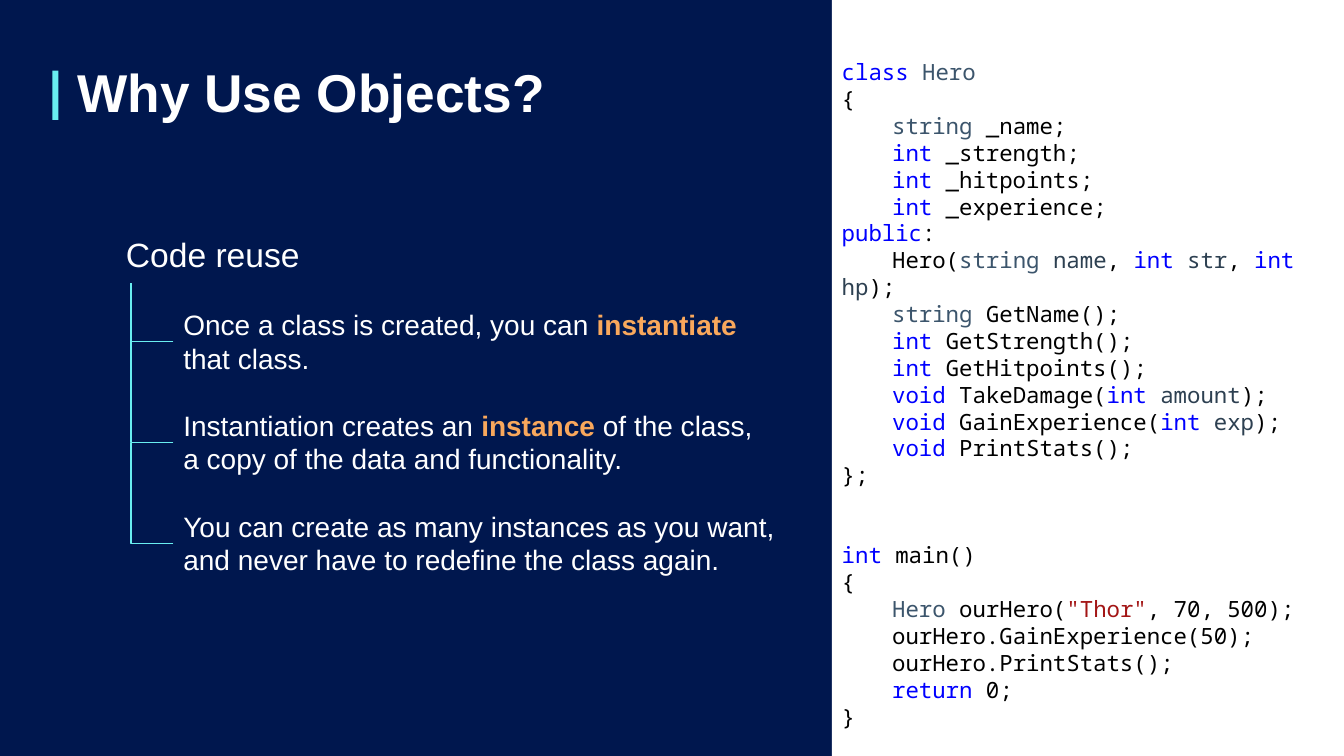
from pptx import Presentation
from pptx import util as u
from pptx.dml.color import RGBColor
from pptx.enum import shapes, text
from pptx.oxml import parse_xml
from pptx.oxml.ns import nsdecls, qn

NAVY = RGBColor(0x00, 0x17, 0x4E)
WHITE = RGBColor(0xFF, 0xFF, 0xFF)
BLACK = RGBColor(0x00, 0x00, 0x00)
CYAN = RGBColor(0x69, 0xEE, 0xF0)
ORANGE = RGBColor(0xF9, 0xA8, 0x5C)
BLUE = RGBColor(0x00, 0x00, 0xFF)
SLATE = RGBColor(0x3C, 0x55, 0x6C)
DARK = RGBColor(0x2D, 0x40, 0x51)
RED = RGBColor(0xA3, 0x15, 0x15)

TITLE = "Why Use Objects?"
HEAD = "Code reuse"
POINTS = [
    ("Once a class is created, you can |instantiate| that class.", 614, 281),
    ("Instantiation creates an |instance| of the class, "
     "a copy of the data and functionality.", 600, 314),
    ("You can create as many instances as you want, "
     "and never have to redefine the class again.", 614, 439),
]
HERO = [
    "class |Hero",
    "{",
    "\t|string| _name;",
    "\t|int| _strength;",
    "\t|int| _hitpoints;",
    "\t|int| _experience;",
    "public|:",
    "\tHero(|string |name|, |int |str|, |int |hp|);",
    "\t|string |GetName();",
    "\t|int |GetStrength();",
    "\t|int |GetHitpoints();",
    "\t|void |TakeDamage(|int |amount|);",
    "\t|void |GainExperience(|int |exp|);",
    "\t|void |PrintStats();",
    "};",
]
MAIN = [
    "int| main()",
    "{",
    "\t|Hero |ourHero(|\"Thor\"|, 70, 500);",
    "\tourHero.GainExperience(50);",
    "\tourHero.PrintStats();",
    "\t|return| 0;",
    "}",
]
GROUPS = [
    (BLUE, "class int void public return"),
    (SLATE, "Hero string"),
    (DARK, "name str hp amount exp"),
    (RED, "\"Thor\""),
]
TONES = {word: tone for tone, words in GROUPS for word in words.split()}
MARKS = {"instantiate": ORANGE, "instance": ORANGE}


def px(n):
    return u.Emu(n * 9144)


def write(para, line, size, face, base, tones):
    for part in line.split("|"):
        run = para.add_run()
        run.text = part
        font = run.font
        font.size, font.name = u.Pt(size), face
        font.color.rgb = tones.get(part.strip(), base)
        font.bold = tones is MARKS and part in MARKS


def label(line, x, y, w, h, size):
    box = slide.shapes.add_textbox(px(x), px(y), px(w), px(h))
    frame = box.text_frame
    frame.word_wrap = True
    frame.auto_size = text.MSO_AUTO_SIZE.SHAPE_TO_FIT_TEXT
    frame.vertical_anchor = text.MSO_ANCHOR.MIDDLE
    write(frame.paragraphs[0], line, size, "Arial", WHITE, MARKS)
    return frame.paragraphs[0]


def block(x, y, w, h, fill):
    rect = slide.shapes.add_shape(
        shapes.MSO_SHAPE.RECTANGLE, px(x), px(y), px(w), px(h))
    rect.shadow.inherit = False
    rect.fill.solid()
    rect.fill.fore_color.rgb = fill
    rect.line.fill.background()
    return rect


def elbow(x, top, right, low):
    link = slide.shapes.add_connector(
        shapes.MSO_CONNECTOR.ELBOW, px(x), px(top), px(right), px(low))
    link.line.color.rgb = CYAN
    link.line.width = u.Pt(1)
    props = link._element.spPr
    props.find(qn("a:xfrm")).set("rot", "10800000")
    props.find(qn("a:prstGeom")).set("prst", "bentConnector2")
    props.append(parse_xml("<a:effectLst %s/>" % nsdecls("a")))


deck = Presentation()
deck.slide_width, deck.slide_height = px(1333), px(750)
slide = deck.slides.add_slide(deck.slide_layouts[6])
slide.background.fill.solid()
slide.background.fill.fore_color.rgb = NAVY

block(52, 70, 6, 49, CYAN)
title = label(TITLE, 67, 61, 719, 68, 38)
title.line_spacing = 0.9
title.runs[0].font.bold = True
label(HEAD, 115, 227, 671, 50, 24)

for i, (line, wide, top) in enumerate(POINTS):
    y = 300 + 100 * i
    label(line, 172, y, wide, 77, 20)
    elbow(130, top, 172, y + 39)

frame = block(825, 0, 508, 750, WHITE).text_frame
frame.word_wrap = True
frame.vertical_anchor = text.MSO_ANCHOR.TOP
frame.margin_top = px(58)
for i, line in enumerate(HERO + MAIN):
    para = frame.paragraphs[0] if i == 0 else frame.add_paragraph()
    para.alignment = text.PP_ALIGN.LEFT
    if i == len(HERO):
        para.space_before = u.Pt(38)
    props = para._p.get_or_add_pPr()
    props.append(parse_xml(
        '<a:tabLst %s><a:tab pos="%d" algn="l"/></a:tabLst>'
        % (nsdecls("a"), px(50))))
    write(para, line, 16, "Noto Sans Mono", BLACK, TONES)

deck.save("out.pptx")
